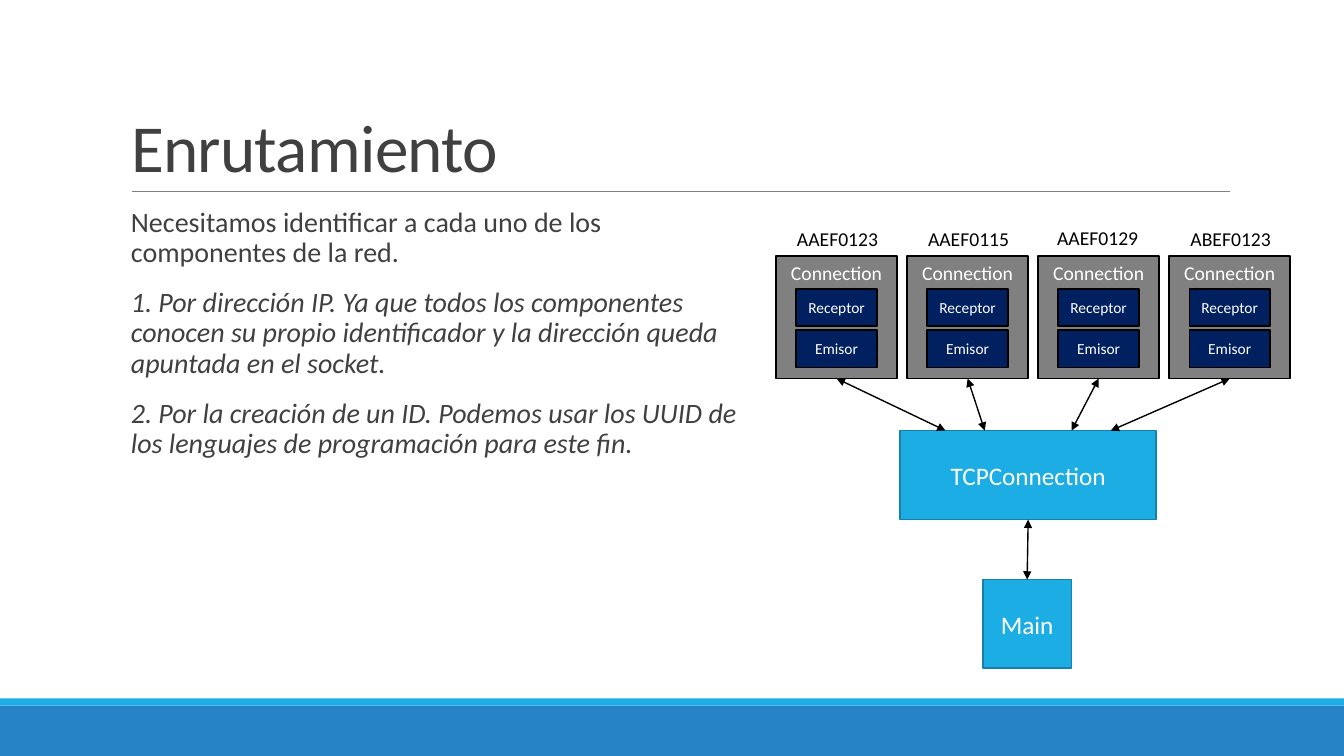
from dataclasses import dataclass
from typing import Any

from lxml import etree
from pptx import Presentation
from pptx.dml.color import RGBColor
from pptx.enum.shapes import MSO_CONNECTOR, MSO_SHAPE
from pptx.enum.text import MSO_ANCHOR, PP_ALIGN
from pptx.oxml.ns import qn
from pptx.util import Pt

RECTANGLE = MSO_SHAPE.RECTANGLE
STRAIGHT = MSO_CONNECTOR.STRAIGHT
TOP, MIDDLE, BOTTOM = MSO_ANCHOR.TOP, MSO_ANCHOR.MIDDLE, MSO_ANCHOR.BOTTOM
LEFT, CENTER = PP_ALIGN.LEFT, PP_ALIGN.CENTER
TOP_SIDE, BOTTOM_SIDE = 0, 2

FONT = "Calibri"
BLUE, DARK_BLUE, NAVY, BLUE_EDGE = "1CADE4", "2683C6", "002060", "1580A9"
GRAY, TEXT_GRAY, BLACK, WHITE = "808080", "404040", "000000", "FFFFFF"


@dataclass(frozen=True)
class Box:
    left: float
    top: float
    width: float
    height: float

    def lengths(self) -> tuple:
        return Pt(self.left), Pt(self.top), Pt(self.width), Pt(self.height)


@dataclass(frozen=True)
class BoxStyle:
    fill: str
    edge: str | None = None
    size: float = 18
    anchor: Any = MIDDLE


@dataclass(frozen=True)
class Node:
    identifier: str
    label_left: float
    label_top: float
    tcp_offset: float


BAR = BoxStyle(DARK_BLUE)
STRIPE = BoxStyle(BLUE)
CONNECTION = BoxStyle(GRAY, BLACK, 14, TOP)
ROLE = BoxStyle(NAVY, BLACK, 11)
CORE = BoxStyle(BLUE, BLUE_EDGE)

TCP_BOX = Box(643, 307.6, 182.8, 63.6)
MAIN_BOX = Box(702, 414, 63.4, 63.4)
FIRST_LEFT, NODE_PITCH = 554.4, 93.6
ROLES = {"Receptor": 206.2, "Emisor": 235.9}
NODES = (
    Node("AAEF0123", 555.8, 158.4, -59),
    Node("AAEF0115", 649.4, 158.4, -31),
    Node("AAEF0129", 741.6, 157.6, 31),
    Node("ABEF0123", 836.6, 158.4, 59),
)
BODY = (
    ("Necesitamos identificar a cada uno de los componentes de la red.", False),
    ("1. Por dirección IP. Ya que todos los componentes conocen su propio "
     "identificador y la dirección queda apuntada en el socket.", True),
    ("2. Por la creación de un ID. Podemos usar los UUID de los lenguajes de "
     "programación para este fin.", True),
)


def color(value: str) -> RGBColor:
    return RGBColor.from_string(value)


def apply(target: Any, values: dict) -> None:
    for name, value in values.items():
        setattr(target, name, value)


def write(paragraph: Any, text: str, size: float, text_color: str,
          italic: bool = False, alignment: Any = CENTER) -> Any:
    paragraph.alignment = alignment
    run = paragraph.add_run()
    run.text = text
    apply(run.font, {"name": FONT, "size": Pt(size), "italic": italic})
    run.font.color.rgb = color(text_color)
    return run


def add_box(slide: Any, box: Box, style: BoxStyle, text: str = "") -> Any:
    shape = slide.shapes.add_shape(RECTANGLE, *box.lengths())
    shape.shadow.inherit = False
    shape.fill.solid()
    shape.fill.fore_color.rgb = color(style.fill)
    if style.edge:
        shape.line.color.rgb = color(style.edge)
        shape.line.width = Pt(1.25)
    else:
        shape.line.fill.background()
    if text:
        shape.text_frame.vertical_anchor = style.anchor
        write(shape.text_frame.paragraphs[0], text, style.size, WHITE)
    return shape


def add_line(slide: Any, start: tuple[float, float], end: tuple[float, float],
             line_color: str, width: float, arrows: bool) -> Any:
    connector = slide.shapes.add_connector(STRAIGHT, *map(Pt, start + end))
    connector.line.color.rgb = color(line_color)
    connector.line.width = Pt(width)
    properties = connector.element.spPr
    if arrows:
        line = properties.find(qn("a:ln"))
        for tag in ("a:headEnd", "a:tailEnd"):
            etree.SubElement(line, qn(tag), type="triangle")
    etree.SubElement(properties, qn("a:effectLst"))
    return connector


def add_title(slide: Any) -> None:
    title = slide.shapes.title
    box = Box(86.4, 22.6, 792, 114.2)
    apply(title, dict(zip(("left", "top", "width", "height"), box.lengths())))
    apply(title.text_frame, {"vertical_anchor": BOTTOM, "word_wrap": True})
    paragraph = title.text_frame.paragraphs[0]
    paragraph.line_spacing = 0.85
    run = write(paragraph, "Enrutamiento", 48, TEXT_GRAY, alignment=LEFT)
    run.font._element.set("spc", "-50")


def add_body(slide: Any) -> None:
    frame = slide.shapes.add_textbox(*Box(86.4, 145.4, 447, 316.8).lengths()).text_frame
    apply(frame, {"word_wrap": True, "margin_left": Pt(7.2), "margin_right": 0})
    for index, (text, italic) in enumerate(BODY):
        paragraph = frame.add_paragraph() if index else frame.paragraphs[0]
        apply(paragraph, {"line_spacing": 0.9, "space_before": Pt(12), "space_after": Pt(2)})
        write(paragraph, text, 20, TEXT_GRAY, italic, LEFT)


def add_node(slide: Any, index: int, node: Node) -> None:
    left = FIRST_LEFT + index * NODE_PITCH
    box = Box(left, 183, 86.4, 87.4)
    connection = add_box(slide, box, CONNECTION, "Connection")
    for role, top in ROLES.items():
        add_box(slide, Box(left + 14.4, top, 57.6, 26.6), ROLE, role)
    center = TCP_BOX.left + TCP_BOX.width / 2
    arrow = add_line(slide, (left + box.width / 2, box.top + box.height),
                     (center + node.tcp_offset, TCP_BOX.top), BLACK, 1, True)
    arrow.begin_connect(connection, BOTTOM_SIDE)
    label = slide.shapes.add_textbox(*Box(node.label_left, node.label_top, 85, 24.2).lengths())
    label.text_frame.word_wrap = True
    write(label.text_frame.paragraphs[0], node.identifier, 14, BLACK)


def main() -> None:
    presentation = Presentation()
    apply(presentation, {"slide_width": Pt(960), "slide_height": Pt(540)})
    slide = presentation.slides.add_slide(presentation.slide_layouts[5])
    add_box(slide, Box(0, 504, 960, 36), BAR)
    add_box(slide, Box(0, 498.8, 960, 5.2), STRIPE)
    add_line(slide, (94.2, 136.8), (878.8, 136.8), GRAY, 0.5, False)
    add_title(slide)
    add_body(slide)
    tcp = add_box(slide, TCP_BOX, CORE, "TCPConnection")
    main_box = add_box(slide, MAIN_BOX, CORE, "Main")
    link = add_line(slide, (733.7, 414), (734.4, 371.2), BLACK, 1, True)
    link.begin_connect(main_box, TOP_SIDE)
    link.end_connect(tcp, BOTTOM_SIDE)
    for index, node in enumerate(NODES):
        add_node(slide, index, node)
    presentation.save("out.pptx")


if __name__ == "__main__":
    main()
